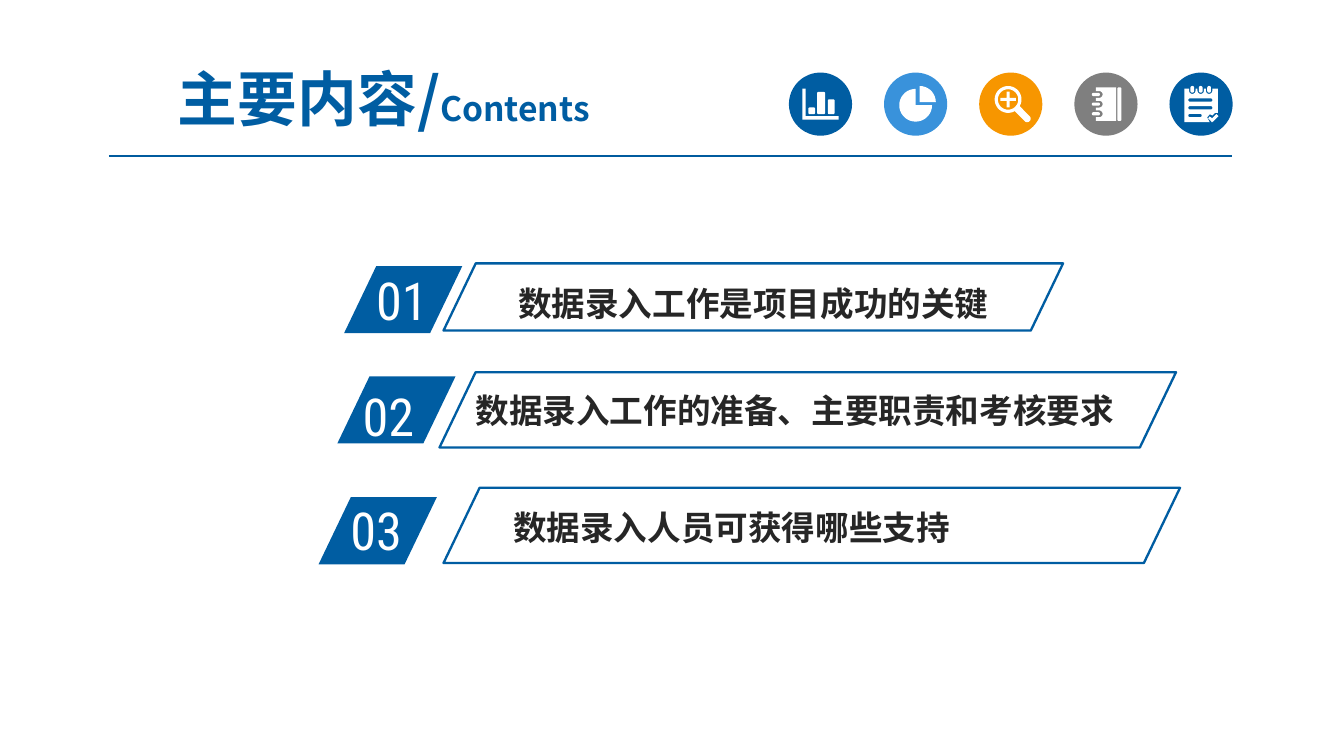
import math

import pptx
import pptx.dml.color
import pptx.enum.shapes
import pptx.enum.text
import pptx.oxml
import pptx.oxml.ns
import pptx.util

RGBColor = pptx.dml.color.RGBColor
Shape = pptx.enum.shapes.MSO_SHAPE
Align = pptx.enum.text.PP_ALIGN
Anchor = pptx.enum.text.MSO_ANCHOR

BLUE = RGBColor(0x00, 0x5D, 0xA2)
RULE_BLUE = RGBColor(0x00, 0x5B, 0x9E)
SKY = RGBColor(0x39, 0x92, 0xDB)
ORANGE = RGBColor(0xF7, 0x96, 0x00)
GREY = RGBColor(0x7F, 0x7F, 0x7F)
INK = RGBColor(0x26, 0x26, 0x26)
WHITE = RGBColor(0xFF, 0xFF, 0xFF)
CJK_FONT = "Noto Sans CJK SC"
DIGIT_FONT = "Roboto Condensed"
COLUMNS = 100
SLANT = 0.48


def write_span(para, text, size=18, font=CJK_FONT, color=INK, bold=True):
    span = para.add_run()
    span.text = text
    span.font.size = pptx.util.Pt(size)
    span.font.name = font
    span.font.bold = bold
    span.font.color.rgb = color
    east = pptx.oxml.parse_xml(f'<a:ea {pptx.oxml.ns.nsdecls("a")} typeface="{font}"/>')
    span.font.fill  # the fill precedes the typefaces
    span._r.get_or_add_rPr().append(east)


def arc(x, y, radius, start=0, end=360):
    steps = max(4, abs(end - start) // 10)
    angles = [math.radians(start + (end - start) * i / steps) for i in range(steps + 1)]
    return [(x + radius * math.cos(a), y + radius * math.sin(a)) for a in angles]


def rounded(left, top, right, bottom, radius=1):
    return (arc(left + radius, top + radius, radius, 180, 270)
            + arc(right - radius, top + radius, radius, 270, 360)
            + arc(right - radius, bottom - radius, radius, 0, 90)
            + arc(left + radius, bottom - radius, radius, 90, 180))


def chart_glyph():
    axes = [(-13.5, -11.5), (-11, -11.5), (-11, 9), (13.5, 9), (13.5, 11.5), (-13.5, 11.5)]
    bars = [(-9, 2.5, -4), (-2.5, -9, 3.5), (5.5, -3.5, 10.5)]
    return [axes] + [rounded(left, top, right, 7.5) for left, top, right in bars]


def pie_glyph():
    return [[(3, -1.5)] + arc(3, -1.5, 12, 270, 360), [(0, 0.8)] + arc(0, 0.8, 12.2, 0, 270)]


def lens_glyph():
    x, y, arm, half = -2, -3.5, 5.8, 1.1
    plus = [(-arm, -half), (-half, -half), (-half, -arm), (half, -arm), (half, -half), (arm, -half),
            (arm, half), (half, half), (half, arm), (-half, arm), (-half, half), (-arm, half)]
    outline = arc(x, y, 10, 60, 390) + arc(12.2, 10.8, 2.6, -45, 135)
    return [outline, arc(x, y, 7.6), [(x + dx, y + dy) for dx, dy in plus]]


def notebook_glyph():
    ring_rows = (-7.2, 0, 7.2)
    cover = [(-7.5, -12.5)]
    for y in ring_rows:
        cover += [(-7.5, y - 2.5)] + arc(-5, y, 2.5, -90, 90) + [(-7.5, y + 2.5)]
    cover += [(-7.5, 12.5), (7.5, 12.5), (7.5, -12.5)]
    rings = [rounded(-10.5, y - 1.2, -4.5, y + 1.2, 1.2) for y in ring_rows]
    return [cover, rounded(8.5, -12.5, 11.5, 12.5)] + rings


def checklist_glyph():
    ring_columns = (-6.5, -0.25, 6)
    sheet = [(-12.5, -11.5)]
    for x in ring_columns:
        sheet += [(x - 2.4, -11.5)] + arc(x, -10, 2.4, 180, 0) + [(x + 2.4, -11.5)]
    sheet += [(12.5, -11.5), (12.5, 6.5), (10.5, 6.5), (8.5, 8.5), (6.5, 7.5),
              (4.5, 10), (6.5, 13.5), (-12.5, 13.5)]
    rings = [rounded(x - 1.4, -13.5, x + 1.4, -8.5, 1.4) for x in ring_columns]
    lines = [rounded(-9.5, y - 1.2, right, y + 1.2, 1.2)
             for y, right in ((-3, 8.5), (2.75, 8.5), (8.5, 0.5))]
    tick = [(5.3, 10.5), (6.5, 9.2), (8.2, 10.5), (11.5, 7.4), (13, 9), (8.2, 13.6)]
    return [sheet, tick] + rings + lines


class ContentsPage:
    """Holds the grid and the current page, and draws each kind of element on it."""

    def __init__(self, deck):
        self.page = deck.slides.add_slide(deck.slide_layouts[6])
        self.cell = deck.slide_width / COLUMNS

    def grid(self, *cells):
        return [pptx.util.Emu(round(cell * self.cell)) for cell in cells]

    def shape(self, kind, place, fill=None, line=None):
        box = self.page.shapes.add_shape(kind, *self.grid(*place))
        self.paint(box, fill, line)
        return box

    def paint(self, box, fill=None, line=None):
        box.shadow.inherit = False
        if fill is None:
            box.fill.background()
        else:
            box.fill.solid()
            box.fill.fore_color.rgb = fill
        if line is None:
            box.line.fill.background()
        else:
            box.line.color.rgb = line
            box.line.width = pptx.util.Pt(1.25)

    def slanted(self, place, **style):
        self.shape(Shape.PARALLELOGRAM, place, **style).adjustments[0] = SLANT

    def text(self, place, spans, align=Align.LEFT, anchor=Anchor.TOP, spacing=1):
        box = self.page.shapes.add_textbox(*self.grid(*place))
        frame = box.text_frame
        frame.word_wrap = True
        frame.vertical_anchor = anchor
        para = frame.paragraphs[0]
        para.alignment = align
        para.line_spacing = spacing
        for text, style in spans:
            write_span(para, text, **style)

    def rule(self, left, right, top):
        line = self.page.shapes.add_connector(
            pptx.enum.shapes.MSO_CONNECTOR.STRAIGHT, *self.grid(left, top, right, top))
        line.line.color.rgb = RULE_BLUE
        line.line.width = pptx.util.Pt(0.75)
        line._element.spPr.append(
            pptx.oxml.parse_xml(f'<a:effectLst {pptx.oxml.ns.nsdecls("a")}/>'))

    def icon(self, left, top, size, color, glyph):
        self.shape(Shape.OVAL, (left, top, size, size), fill=color)
        middle_x, middle_y = left + size / 2, top + size / 2
        contours = [[self.grid(middle_x + x / 10, middle_y + y / 10) for x, y in contour]
                    for contour in glyph]
        builder = self.page.shapes.build_freeform(*contours[0][0])
        for index, contour in enumerate(contours):
            if index:
                builder.move_to(*contour[0])
            builder.add_line_segments(contour[1:], close=True)
        self.paint(builder.convert_to_shape(), fill=WHITE)


def main():
    deck = pptx.Presentation()
    deck.slide_width = pptx.util.Inches(10)
    deck.slide_height = deck.slide_width * 9 // 16
    contents = ContentsPage(deck)

    contents.text((4.3, 4.6, 48.5, 5.4),
                  [("主要内容/", dict(size=32, color=BLUE)), ("Contents", dict(color=BLUE))],
                  align=Align.CENTER, anchor=Anchor.MIDDLE)
    contents.rule(8.1, 91.7, 11.6)

    icons = [(BLUE, chart_glyph), (SKY, pie_glyph), (ORANGE, lens_glyph),
             (GREY, notebook_glyph), (BLUE, checklist_glyph)]
    for index, (color, glyph) in enumerate(icons):
        contents.icon(58.7 + 7.08 * index, 5.4, 4.7, color, glyph())

    centered = dict(align=Align.CENTER, spacing=1.5)
    rows = [
        ("01", (25.6, 19.8), (27, 19.5), (33, 19.6, 46.1, 5),
         "数据录入工作是项目成功的关键", (33.5, 19.1, 45.1, 5.3), centered),
        ("02", (25.1, 28), (26, 28.1), (32.7, 27.7, 54.8, 5.6),
         "数据录入工作的准备、主要职责和考核要求", (34.4, 28.5, 52.2, 4), {}),
        ("03", (23.7, 37), (25.1, 36.6), (33, 36.3, 54.8, 5.6),
         "数据录入人员可获得哪些支持", (37.2, 37.2, 42, 4), {}),
    ]
    digits = dict(size=28, font=DIGIT_FONT, color=WHITE, bold=False)
    for number, tag, number_at, frame, topic, topic_place, layout in rows:
        contents.slanted((*tag, 8.8, 5), fill=BLUE)
        contents.text((*number_at, 8.4, 5.7), [(number, digits)])
        contents.slanted(frame, line=BLUE)
        contents.text(topic_place, [(topic, {})], **layout)

    deck.save("out.pptx")


if __name__ == "__main__":
    main()
